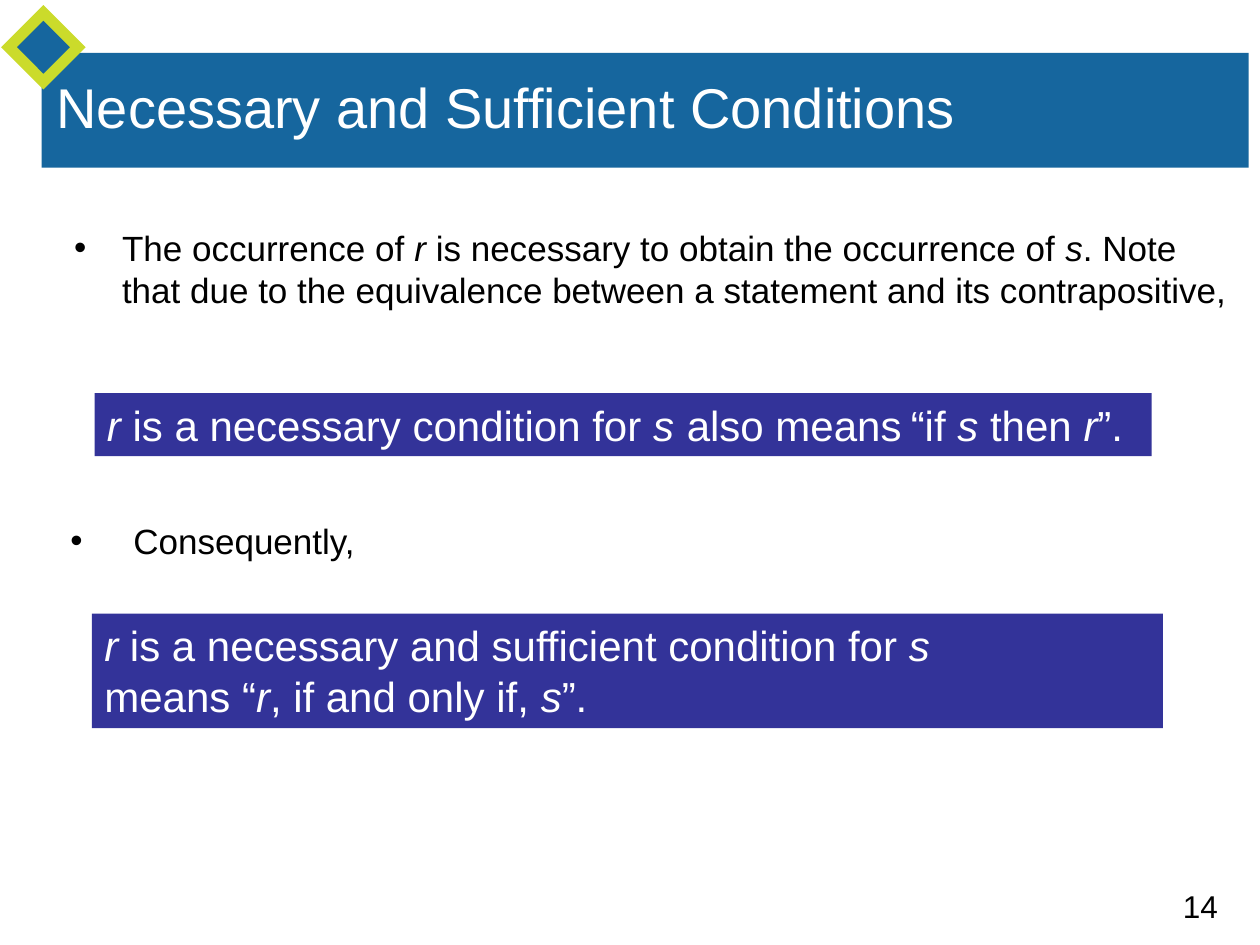
from lxml import etree
from pptx import Presentation
from pptx.dml.color import RGBColor
from pptx.enum.shapes import MSO_SHAPE as SHAPE
from pptx.enum.text import MSO_ANCHOR as ANCHOR, PP_ALIGN as ALIGN
from pptx.oxml.ns import qn
from pptx.util import Inches, Pt

BLUE = RGBColor(0x16, 0x66, 0x9E)
LIME = RGBColor(0xCB, 0xDB, 0x2B)
INDIGO = RGBColor(0x33, 0x33, 0x99)
BLACK = RGBColor(0, 0, 0)
WHITE = RGBColor(0xFF, 0xFF, 0xFF)
TABS = (4.51, 6.38)


def add_bullet(p, indent):
    pPr = p._p.get_or_add_pPr()
    pPr.set("marL", str(Inches(indent)))
    pPr.set("indent", str(-Inches(indent)))
    etree.SubElement(pPr, qn("a:buFont")).set("typeface", "Arial")
    etree.SubElement(pPr, qn("a:buChar")).set("char", "•")


def add_tabs(p, stops):
    tabs = etree.SubElement(p._p.get_or_add_pPr(), qn("a:tabLst"))
    for stop in stops:
        tab = etree.SubElement(tabs, qn("a:tab"))
        tab.set("pos", str(Inches(stop)))
        tab.set("algn", "l")


def write(sp, text, size=20, color=BLACK, anchor=ANCHOR.TOP, indent=None, tabs=()):
    tf = sp.text_frame
    tf.word_wrap = True
    tf.vertical_anchor = anchor
    for i, line in enumerate(text.split("\n")):
        p = tf.add_paragraph() if i else tf.paragraphs[0]
        p.alignment = ALIGN.LEFT
        if indent:
            add_bullet(p, indent)
        if tabs:
            add_tabs(p, tabs)
        for j, part in enumerate(line.split("*")):
            if part:
                r = p.add_run()
                r.text = part
                r.font.name = "Arial"
                r.font.size = Pt(size)
                r.font.italic = j % 2 == 1
                r.font.color.rgb = color


def add_text(s, box, text, **fmt):
    sp = s.shapes.add_textbox(*map(Inches, box))
    write(sp, text, **fmt)


def add_block(s, kind, box, fill):
    sp = s.shapes.add_shape(kind, *map(Inches, box))
    sp.shadow.inherit = False
    sp.fill.solid()
    sp.fill.fore_color.rgb = fill
    sp.line.fill.background()
    return sp


def add_header(s, box, title):
    x, y, w, h = box
    add_block(s, SHAPE.RECTANGLE, box, BLUE)
    for size, fill in ((0.67, LIME), (0.42, BLUE)):
        corner = (x + 0.015 - size / 2, y - 0.045 - size / 2)
        add_block(s, SHAPE.DIAMOND, (*corner, size, size), fill)
    add_text(s, (x + 0.02, y - 0.2, 9, 1.25), title,
             size=32, color=WHITE, anchor=ANCHOR.MIDDLE)


def add_definition(s, box, text):
    sp = add_block(s, SHAPE.RECTANGLE, box, INDIGO)
    write(sp, text, size=24, color=WHITE, tabs=TABS)


def main():
    prs = Presentation()
    prs.slide_width, prs.slide_height = Inches(10), Inches(7.5)
    s = prs.slides.add_slide(prs.slide_layouts[6])
    add_text(s, (9.29, 6.99, 0.71, 0.4), "14", size=18)
    add_header(s, (0.33, 0.42, 9.58, 0.91), "Necessary and Sufficient Conditions")
    add_text(s, (0.49, 1.75, 9.35, 0.77),
             "The occurrence of *r* is necessary to obtain the occurrence of *s*. Note "
             "that due to the equivalence between a statement and its contrapositive,",
             indent=0.38)
    add_definition(s, (0.75, 3.12, 8.39, 0.5),
                   "*r* is a necessary condition for *s*\t also means\t“if *s* then *r*”.")
    add_text(s, (0.46, 4.07, 9.04, 0.44), "Consequently,", indent=0.5)
    add_definition(s, (0.73, 4.87, 8.5, 0.91),
                   "*r* is a necessary and sufficient condition for *s*\n"
                   "means “*r*, if and only if, *s*”.")
    prs.save("out.pptx")


if __name__ == "__main__":
    main()
